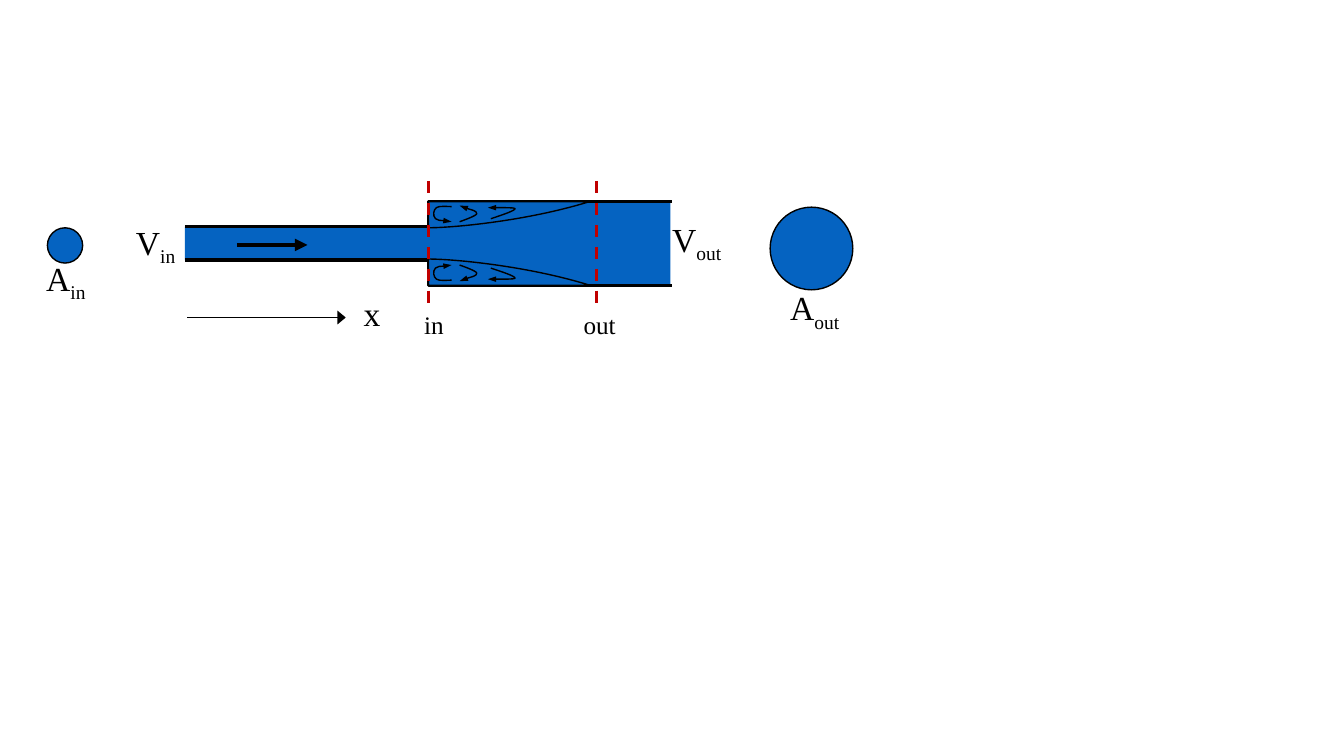
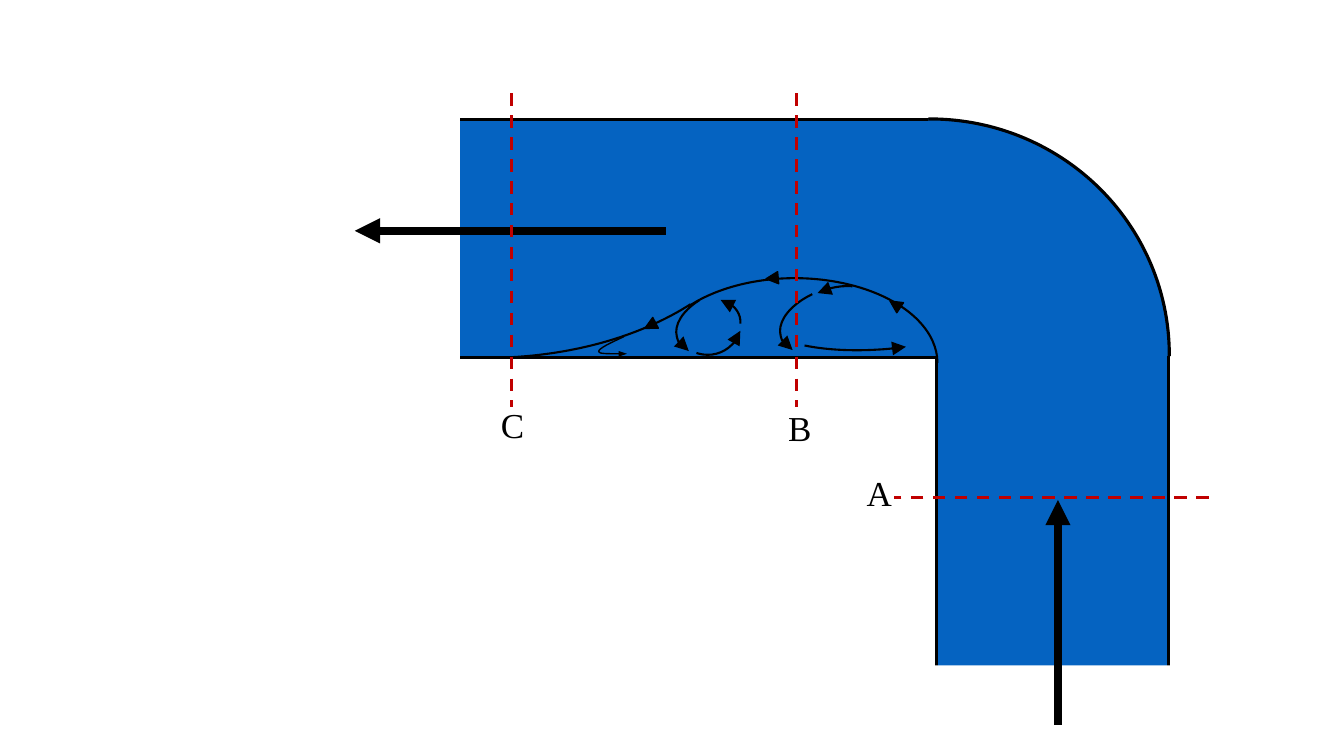
import dataclasses
import typing

import lxml.etree
import pptx
import pptx.dml.color
import pptx.enum.dml
import pptx.enum.shapes
import pptx.enum.text
import pptx.oxml.ns
import pptx.shapes.base
import pptx.slide
import pptx.util

RGBColor = pptx.dml.color.RGBColor
Preset = pptx.enum.shapes.MSO_SHAPE
Slide = pptx.slide.Slide
qn = pptx.oxml.ns.qn
Point = tuple[float, float]
Box = tuple[float, float, float, float]  # column, row, columns wide, rows high
Head = tuple[str, str]  # width, length

WATER = RGBColor(0x05, 0x63, 0xC1)
INK = RGBColor(0x00, 0x00, 0x00)
SECTION = RGBColor(0xC0, 0x00, 0x00)
PAPER = RGBColor(0xFF, 0xFF, 0xFF)
FONT = "Times New Roman"

CELL = pptx.util.Inches(0.1)  # one column and one row of the grid
MEDIUM: Head = ("med", "med")
LARGE: Head = ("lg", "lg")
SLIM: Head = ("sm", "med")
WIDE: Head = ("lg", "med")


@dataclasses.dataclass(frozen=True)
class Pen:
    """Line style: width in points, colour, dashes and arrowhead."""
    width: float
    color: RGBColor = INK
    dashed: bool = False
    head: typing.Optional[Head] = None


@dataclasses.dataclass(frozen=True)
class Label:
    """Text with an optional subscript."""
    box: Box
    text: str
    size: float = 24
    subscript: str = ""


@dataclasses.dataclass(frozen=True)
class Arc:
    """Part of an ellipse between two angles in degrees."""
    box: Box
    start: float
    end: float
    turn: float = 0
    pen: Pen = Pen(1.5)
    flipped: bool = False


@dataclasses.dataclass(frozen=True)
class Curve:
    """Start point followed by Bezier triples of two controls and an end."""
    points: tuple[Point, ...]
    pen: Pen = Pen(1, head=SLIM)
    closed: bool = False


THIN = Pen(1)
WALL = Pen(2.25)
CUT = Pen(2.25, SECTION, dashed=True)
SWIRL = Pen(1.5, head=LARGE)
MAIN_FLOW = Pen(6, head=MEDIUM)


def grid(*cells: float) -> list[pptx.util.Emu]:
    """Turn grid cells into slide lengths."""
    return [pptx.util.Emu(round(cell * CELL)) for cell in cells]


def apply_pen(shape: pptx.shapes.base.BaseShape, pen: typing.Optional[Pen]) -> None:
    """Style the line of a shape or connector."""
    if pen is None:
        shape.line.fill.background()
        return
    shape.line.width = pptx.util.Pt(pen.width)
    shape.line.color.rgb = pen.color
    if pen.dashed:
        shape.line.dash_style = pptx.enum.dml.MSO_LINE.DASH
    if pen.head:
        line = shape.element.spPr.find(qn("a:ln"))
        width, length = pen.head
        lxml.etree.SubElement(line, qn("a:tailEnd"), type="triangle", w=width, len=length)


def apply_style(shape: pptx.shapes.base.BaseShape, fill: typing.Optional[RGBColor],
                pen: typing.Optional[Pen]) -> None:
    """Set fill and line and drop the shadow."""
    shape.shadow.inherit = False
    if fill is None:
        shape.fill.background()
    else:
        shape.fill.solid()
        shape.fill.fore_color.rgb = fill
    apply_pen(shape, pen)


def add_preset(page: Slide, preset: Preset, box: Box, fill: typing.Optional[RGBColor],
               pen: typing.Optional[Pen], turn: float = 0) -> pptx.shapes.base.BaseShape:
    """Draw a preset shape on the grid."""
    shape = page.shapes.add_shape(preset, *grid(*box))
    shape.rotation = turn
    apply_style(shape, fill, pen)
    return shape


def add_arc(page: Slide, arc: Arc) -> None:
    """Draw an open arc."""
    shape = add_preset(page, Preset.ARC, arc.box, None, arc.pen, arc.turn)
    for index, degrees in enumerate((arc.start, arc.end)):
        shape.adjustments[index] = degrees * 0.6
    if arc.flipped:
        shape.element.spPr.find(qn("a:xfrm")).set("flipH", "1")


def add_line(page: Slide, start: Point, end: Point, pen: Pen) -> None:
    """Draw a straight line or arrow."""
    line = page.shapes.add_connector(pptx.enum.shapes.MSO_CONNECTOR.STRAIGHT,
                                     *grid(*start, *end))
    apply_pen(line, pen)
    lxml.etree.SubElement(line.element.spPr, qn("a:effectLst"))


def add_outline(page: Slide, points: typing.Sequence[Point], fill: typing.Optional[RGBColor],
                pen: typing.Optional[Pen], closed: bool = False, bends: int = 0) -> None:
    """Draw a freeform whose first bends are Bezier triples, the rest straight."""
    corners = [tuple(grid(*point)) for point in points]
    builder = page.shapes.build_freeform(*corners[0], scale=1.0)
    builder.add_line_segments(corners[1:], close=closed)
    shape = builder.convert_to_shape()
    segments = list(shape.element.iter(qn("a:lnTo")))
    for first in range(0, 3 * bends, 3):
        triple = segments[first:first + 3]
        bend = lxml.etree.Element(qn("a:cubicBezTo"))
        triple[0].addprevious(bend)
        for segment in triple:
            bend.append(segment[0])
            segment.getparent().remove(segment)
    apply_style(shape, fill, pen)


def add_curve(page: Slide, curve: Curve) -> None:
    """Draw a water-filled curve."""
    add_outline(page, curve.points, WATER, curve.pen, curve.closed, len(curve.points) // 3)


def add_label(page: Slide, label: Label) -> None:
    """Write a label with its subscript."""
    box = page.shapes.add_textbox(*grid(*label.box))
    box.text_frame.word_wrap = False
    box.text_frame.auto_size = pptx.enum.text.MSO_AUTO_SIZE.SHAPE_TO_FIT_TEXT
    para = box.text_frame.paragraphs[0]
    para.font.name = FONT
    para.font.size = pptx.util.Pt(label.size)
    para.font.color.rgb = INK
    para.add_run().text = label.text
    if label.subscript:
        span = para.add_run()
        span.text = label.subscript
        span.font._element.set("baseline", "-25000")


def mirror(points: typing.Sequence[Point]) -> tuple[Point, ...]:
    """Reflect points across the axis of the straight pipe."""
    return tuple((column, 48.3 - row) for column, row in points)


LOWER_WALL: tuple[Point, ...] = ((18.35, 25.8), (42.5, 25.8), (42.5, 28.3), (66.7, 28.3))
LOWER_EDDIES = (
    Curve(((42.5, 25.7), (45.1, 25.7), (52.4, 26.4), (58.5, 28.3),
           (52.4, 28.3), (45.2, 28.3), (42.5, 28.3),
           (42.5, 26.3), (42.5, 27.7), (42.5, 25.7)), THIN, closed=True),
    Curve(((48.7, 26.6), (49.9, 27), (51.1, 27.4), (51.1, 27.6),
           (51.1, 27.7), (49.7, 27.7), (48.4, 27.7))),
    Curve(((45.6, 26.3), (45.9, 26.4), (47.3, 26.9), (47.3, 27.1),
           (47.3, 27.4), (45.9, 27.7), (45.6, 27.9))),
    Curve(((44.8, 27.8), (44.5, 27.8), (43.5, 27.9), (43.3, 27.7),
           (43, 27.5), (42.9, 26.9), (43.2, 26.6),
           (43.4, 26.4), (44.5, 26.4), (44.8, 26.3))),
)
AREAS: tuple[Box, ...] = ((4.7, 22.6, 3.5, 3.5), (76.4, 20.55, 8.2, 8.2))
EXPANSION_LABELS = (
    Label((41.1, 30.2, 4, 4), "in", 18),
    Label((56.9, 30.2, 6.2, 4), "out", 18),
    Label((3.6, 25.1, 6.2, 5), "A", subscript="in"),
    Label((77.4, 28, 7.3, 5), "A", subscript="out"),
    Label((12.5, 21.5, 6, 5), "V", subscript="in"),
    Label((65.7, 21.2, 6.9, 5), "V", subscript="out"),
    Label((35.1, 28.6, 3.7, 5), "x"),
)

BEND_ARCS = (
    Arc((68.5, 11.8, 47.5, 46.8), 269.6, 0.32, pen=WALL),
    Arc((64.7, 27.6, 28.3, 16.8), 207.59, 0),
    Arc((20, 0, 56.6, 35.5), 211.58, 268.7, 180),
    Arc((79.9, 27, 6.6, 9.6), 143.4, 202.95, 255.3, SWIRL, True),
    Arc((80, 25.6, 6.8, 12.3), 212.85, 287.24, 255.3, SWIRL, True),
    Arc((83.3, 20.4, 6.8, 21.8), 290.29, 42.53, 266.9, SWIRL, True),
    Arc((69.7, 25.7, 6.8, 12.3), 226.69, 287.24, 255.3, SWIRL, True),
    Arc((66.8, 28.4, 6.8, 6.8), 326.32, 57.85, 255.3, SWIRL, True),
    Arc((67.5, 28.9, 5.2, 6.8), 78.68, 136.78, 255.3, SWIRL, True),
)
BEND_EDDY = Curve(((61.9, 33.4), (60.6, 34), (59.3, 34.6), (59.4, 34.9),
                   (59.4, 35.1), (60.8, 35.1), (62.2, 35.1)))
ELBOW: tuple[Point, ...] = ((92.1, 11.8), (105.3, 11.8), (116, 22.3), (116, 35.3), (92.1, 35.3))
BOUNDARY_HEADS = ((88.2, 29.6, 303.6), (76, 27, 264.8), (63.9, 31.7, 242.4))
BEND_LABELS = (
    Label((77.2, 39.8, 4.4, 5.2), "B", 25),
    Label((85, 46.3, 4.5, 5.2), "A", 25),
    Label((48.7, 39.5, 4.4, 5.2), "C", 25),
)


def draw_expansion(page: Slide) -> None:
    """Draw the sudden expansion of a straight pipe."""
    lower = LOWER_WALL[:-1] + ((66.5, 28.3),)
    add_outline(page, lower + mirror(lower)[::-1], WATER, None)
    add_line(page, (23.5, 24.3), (30.5, 24.3), Pen(3, head=MEDIUM))
    for wall in (mirror(LOWER_WALL), LOWER_WALL):
        add_outline(page, wall, None, WALL)
    for eddy in LOWER_EDDIES:
        add_curve(page, eddy)
    for eddy in LOWER_EDDIES:
        add_curve(page, dataclasses.replace(eddy, points=mirror(eddy.points)))
    for area in AREAS:
        add_preset(page, Preset.OVAL, area, WATER, THIN)
    for label in EXPANSION_LABELS:
        add_label(page, label)
    add_line(page, (18.6, 31.5), (34.3, 31.5), Pen(1, head=WIDE))
    for column in (42.5, 59.2):
        add_line(page, (column, 17.95), (column, 30.7), CUT)


def draw_bend(page: Slide) -> None:
    """Draw the pipe bend with its separation zone."""
    add_preset(page, Preset.RECTANGLE, (92.9, 34.4, 23.05, 32.2), WATER, WALL)
    add_preset(page, Preset.RECTANGLE, (92.7, 66, 24, 1.5), PAPER, None)
    add_preset(page, Preset.RECTANGLE, (44.7, 11.85, 48.1, 23.65), WATER, WALL)
    add_preset(page, Preset.RECTANGLE, (43.3, 11.7, 2.3, 24.5), PAPER, Pen(1, PAPER))
    add_outline(page, ELBOW, WATER, None, closed=True, bends=1)
    for arc in BEND_ARCS:
        add_arc(page, arc)
    add_curve(page, BEND_EDDY)
    for column, row, turn in BOUNDARY_HEADS:
        add_preset(page, Preset.ISOSCELES_TRIANGLE, (column, row, 1.2, 1.2), INK, THIN, turn)
    add_line(page, (104.95, 71.9), (104.95, 49.6), MAIN_FLOW)
    add_line(page, (66.05, 22.9), (35.2, 22.9), MAIN_FLOW)
    for label in BEND_LABELS:
        add_label(page, label)
    for column in (50.75, 79.05):
        add_line(page, (column, 9.25), (column, 40.4), CUT)
    add_line(page, (119.9, 49.4), (88.7, 49.4), CUT)


def main() -> None:
    """Build and save the deck."""
    deck = pptx.Presentation()
    deck.slide_width, deck.slide_height = grid(133.33, 75)
    blank = deck.slide_layouts.get_by_name("Blank")
    for draw in (draw_expansion, draw_bend):
        draw(deck.slides.add_slide(blank))
    deck.save("out.pptx")


main()
